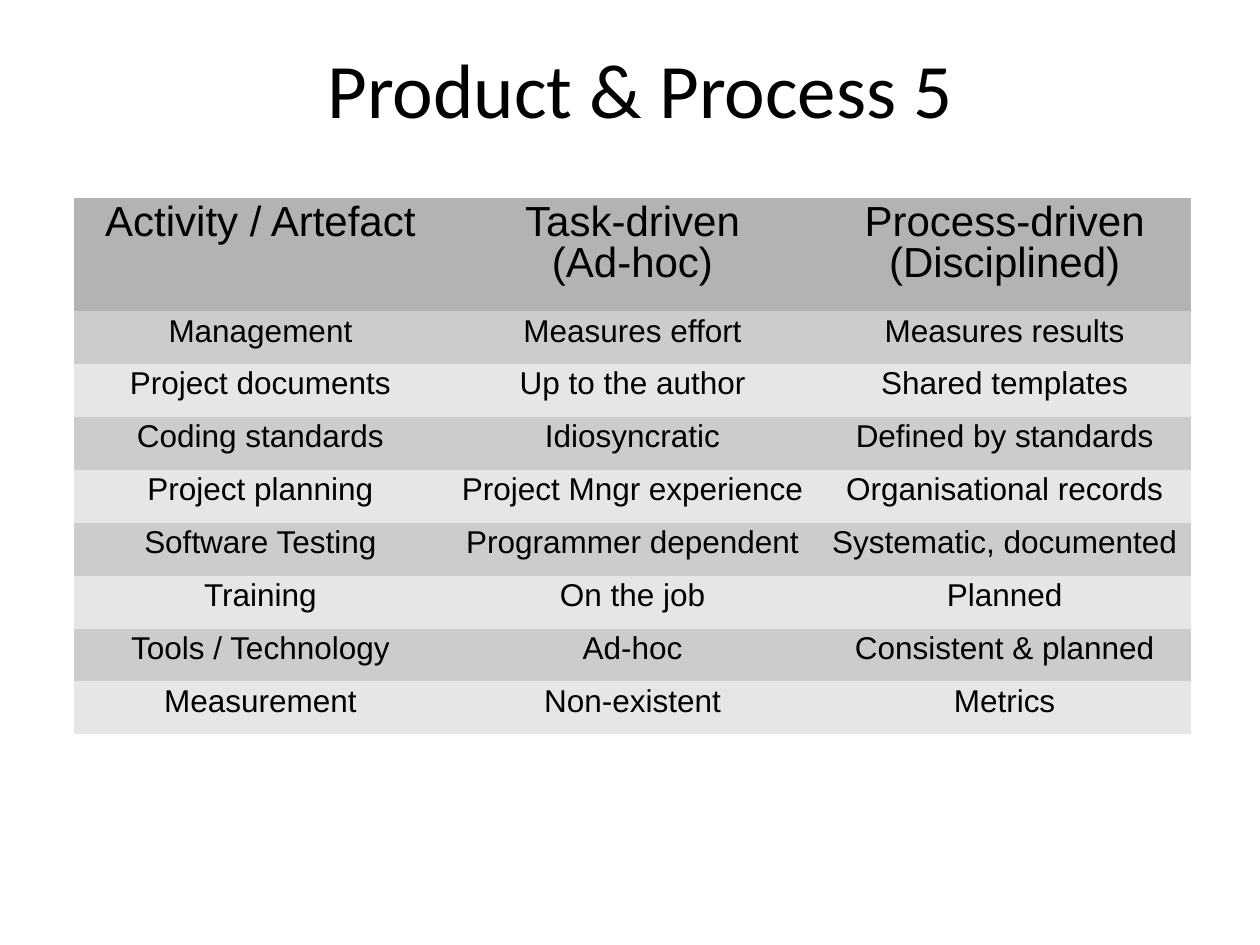
from dataclasses import dataclass

from pptx import Presentation
from pptx.enum.text import MSO_ANCHOR, PP_ALIGN
from pptx.dml.color import RGBColor
from pptx.oxml.ns import qn
from pptx.slide import Slide
from pptx.table import Table
from pptx.text.text import TextFrame
from pptx.util import Inches, Pt

COLORS = {
    "text": "000000",
    "header": "B3B3B3",
    "odd_row": "CCCCCC",
    "even_row": "E6E6E6",
}
NO_STYLE_NO_GRID = "{2D5ABB26-0587-4C30-8999-92F81FD0307C}"


@dataclass(frozen=True)
class Comparison:
    activity: str
    task_driven: str
    process_driven: str

    def texts(self) -> tuple[str, str, str]:
        return self.activity, self.task_driven, self.process_driven


@dataclass(frozen=True)
class RowStyle:
    fill: str
    font_size: int
    height: float


HEADINGS = Comparison(
    "Activity / Artefact",
    "Task-driven\n(Ad-hoc)",
    "Process-driven (Disciplined)",
)
COMPARISONS = [
    Comparison("Management", "Measures effort", "Measures results"),
    Comparison("Project documents", "Up to the author", "Shared templates"),
    Comparison("Coding standards", "Idiosyncratic", "Defined by standards"),
    Comparison("Project planning", "Project Mngr experience", "Organisational records"),
    Comparison("Software Testing", "Programmer dependent", "Systematic, documented"),
    Comparison("Training", "On the job", "Planned"),
    Comparison("Tools / Technology", "Ad-hoc", "Consistent & planned"),
    Comparison("Measurement", "Non-existent", "Metrics"),
]
HEADER_STYLE = RowStyle("header", 24, 0.9)
BODY_STYLES = [RowStyle("odd_row", 18, 0.42), RowStyle("even_row", 18, 0.42)]


def write_text(
    frame: TextFrame, text: str, font_name: str, size: int, line_spacing: float
) -> None:
    frame.text = text
    for paragraph in frame.paragraphs:
        paragraph.alignment = PP_ALIGN.CENTER
        paragraph.line_spacing = line_spacing
        for run in paragraph.runs:
            run.font.name = font_name
            run.font.size = Pt(size)
            run.font.color.rgb = RGBColor.from_string(COLORS["text"])


def draw_title(slide: Slide, title: str) -> None:
    heading = slide.shapes.add_textbox(
        Inches(0.5), Inches(0.28), Inches(9.17), Inches(0.83)
    ).text_frame
    heading.word_wrap = True
    heading.vertical_anchor = MSO_ANCHOR.MIDDLE
    write_text(heading, title, "Calibri", 44, 1.0)


def fill_row(table: Table, index: int, comparison: Comparison, style: RowStyle) -> None:
    table.rows[index].height = Inches(style.height)
    for cell, text in zip(table.rows[index].cells, comparison.texts()):
        cell.fill.solid()
        cell.fill.fore_color.rgb = RGBColor.from_string(COLORS[style.fill])
        write_text(cell.text_frame, text, "Arial", style.font_size, 0.87)


def draw_comparison_table(slide: Slide) -> None:
    table_frame = slide.shapes.add_table(
        len(COMPARISONS) + 1, 3, Inches(0.59), Inches(1.57), Inches(8.86), Inches(4.24)
    )
    table = table_frame.table
    table.first_row = False
    table.horz_banding = False
    for style_id in table_frame.element.iter(qn("a:tableStyleId")):
        style_id.text = NO_STYLE_NO_GRID

    fill_row(table, 0, HEADINGS, HEADER_STYLE)
    for index, comparison in enumerate(COMPARISONS):
        fill_row(table, index + 1, comparison, BODY_STYLES[index % 2])


def main() -> None:
    presentation = Presentation()
    presentation.slide_width = Inches(10)
    presentation.slide_height = Inches(7.5)
    slide = presentation.slides.add_slide(presentation.slide_layouts[6])
    draw_title(slide, "Product & Process 5")
    draw_comparison_table(slide)
    presentation.save("out.pptx")


if __name__ == "__main__":
    main()
